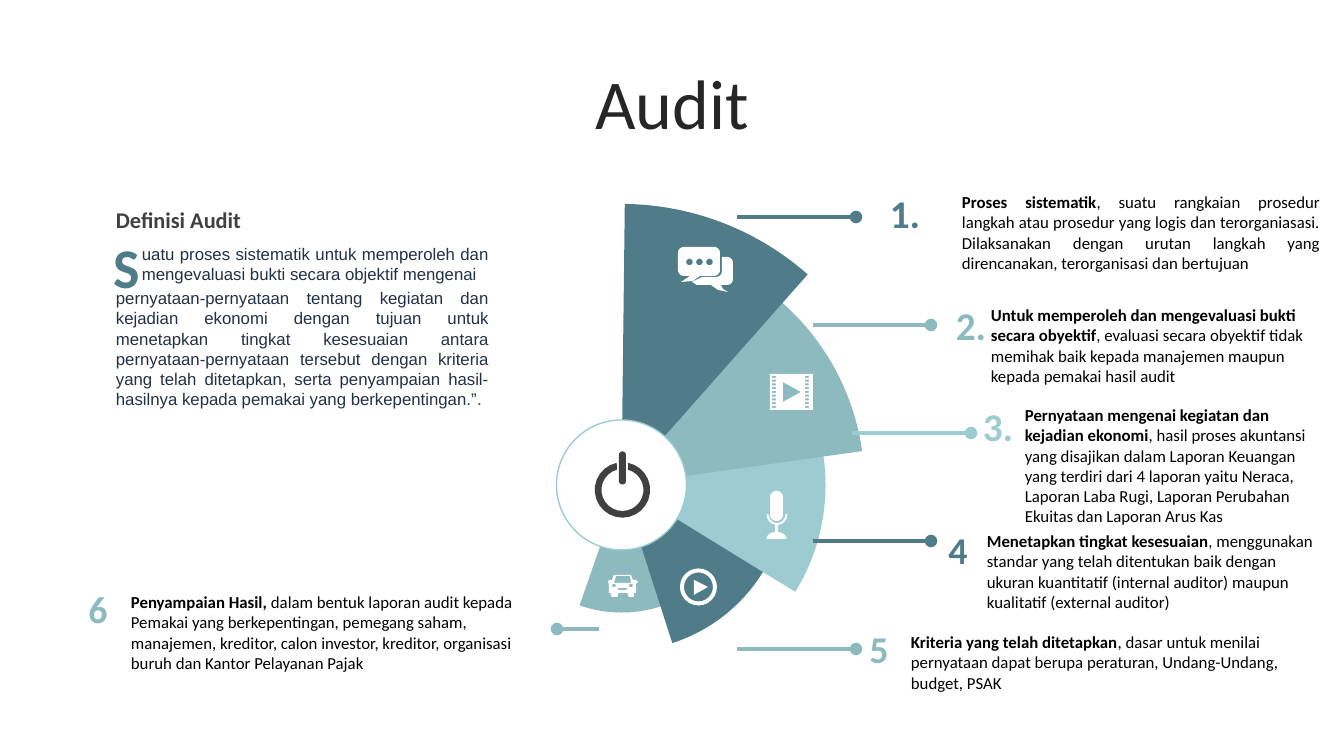
"""Build the Audit slide: a fan of five sectors with six numbered points."""
from math import cos, radians, sin

from lxml import etree
from pptx import Presentation
from pptx.dml.color import RGBColor
from pptx.enum.shapes import MSO_CONNECTOR, MSO_SHAPE
from pptx.enum.text import MSO_ANCHOR, PP_ALIGN
from pptx.oxml.ns import qn
from pptx.util import Pt

PX = 914400 / 100.8
LEFT, MID, FULL = PP_ALIGN.LEFT, PP_ALIGN.CENTER, PP_ALIGN.JUSTIFY
TOP, CORE = MSO_ANCHOR.TOP, MSO_ANCHOR.MIDDLE
PIE, OVAL = MSO_SHAPE.PIE, MSO_SHAPE.OVAL
LINE = MSO_CONNECTOR.STRAIGHT
DARK = RGBColor(0x50, 0x7C, 0x89)
TEAL = RGBColor(0x8C, 0xBA, 0xBE)
PALE = RGBColor(0x9C, 0xCC, 0xD2)
WHITE = RGBColor(0xFF, 0xFF, 0xFF)
BLACK = RGBColor(0x00, 0x00, 0x00)
GREY = RGBColor(0x40, 0x40, 0x40)
COAL = RGBColor(0x26, 0x26, 0x26)
NAVY = RGBColor(0x23, 0x31, 0x44)

deck = Presentation()
deck.slide_width, deck.slide_height = round(1344 * PX), round(756 * PX)
slide = deck.slides.add_slide(deck.slide_layouts[6])
shapes = slide.shapes


def arc(x, y, wide, high, start, end):
    """Return points along an elliptic arc, with angles in degrees."""
    turns = [radians(start + (end - start) * i / 24) for i in range(25)]
    return [(x + wide * cos(t), y + high * sin(t)) for t in turns]


def text(box, runs, align=LEFT, anchor=TOP):
    """Add a text box of one paragraph and return the paragraph."""
    frame = shapes.add_textbox(*[round(v * PX) for v in box]).text_frame
    frame.word_wrap = True
    frame.vertical_anchor = anchor
    para = frame.paragraphs[0]
    para.alignment = align
    for words, size, face, color, bold in runs:
        run = para.add_run()
        run.text = words
        run.font.size = Pt(size)
        run.font.name = face
        run.font.color.rgb = color
        run.font.bold = bold
    return para


fan = [
    (PIE, 255, 199.2, TEAL),
    (PIE, 332, 162.2, DARK),
    (PIE, 408, 121.6, PALE),
    (PIE, 486, 82, TEAL),
    (PIE, 562, 41.5, DARK),
    (OVAL, 130, 0, WHITE),
]
for kind, size, turn, color in fan:
    part = shapes.add_shape(kind, round((621.5 - size / 2) * PX), round((485 - size / 2) * PX),
                            round(size * PX), round(size * PX))
    part.shadow.inherit = False
    part.rotation = turn
    part.fill.solid()
    part.fill.fore_color.rgb = color
    if kind == PIE:
        part.adjustments[0], part.adjustments[1] = 137.51, 162
        part.line.fill.background()
    else:
        part.line.color.rgb = PALE
        part.line.width = Pt(1)

links = [
    (737, 856, 217, DARK),
    (813, 931, 325, TEAL),
    (852, 971, 433, PALE),
    (813, 931, 541, DARK),
    (737, 856, 649, TEAL),
    (599, 557, 629, TEAL),
]
for start, end, y, color in links:
    link = shapes.add_connector(LINE, *[round(v * PX) for v in (start, y, end, y)])
    link.line.color.rgb = color
    link.line.width = Pt(3)
    etree.SubElement(link.line._get_or_add_ln(), qn("a:tailEnd"), type="oval")
    etree.SubElement(link._element.spPr, qn("a:effectLst"))

chat = [
    arc(684, 253, 6, 6, 180, 270) + arc(714, 253, 6, 6, 270, 360) + arc(714, 270, 6, 6, 0, 90)
    + [(700, 276), (693, 281), (681, 282), (690, 276)] + arc(684, 270, 6, 6, 90, 180),
    [(722, 257)] + arc(727, 263, 6, 6, 270, 360) + arc(727, 279, 6, 6, 0, 90)
    + [(721, 285), (723, 289), (728, 292), (718, 290), (711, 285), (697, 285), (692, 282), (702, 277)]
    + arc(716, 271, 6, 6, 90, 0),
]
chat += [arc(x, 262, 3.3, 3.3, 0, 360) for x in (689.5, 699.5, 709.5)]

car = [
    [(614, 575), (631, 575), (633, 580), (636, 580), (638, 582), (636, 584), (636, 593), (634, 593),
     (634, 596), (633, 597), (629, 597), (628, 596), (628, 593), (618, 593), (618, 596), (617, 597),
     (612, 597), (611, 596), (611, 593), (609, 593), (609, 584), (608, 582), (609, 580), (612, 580)],
    [(616, 576), (614, 583), (631, 583), (630, 576)],
    [(618, 588), (627, 588), (627, 590), (618, 590)],
]
car += [arc(x, 585.5, 2, 1.7, 0, 360) for x in (614, 631)]

play = [arc(698.5, 587, r, r, 0, 360) for r in (18.5, 14.5)]
play += [[(694, 580), (708, 587), (694, 595)]]

film = [
    [(770, 374), (813, 374), (813, 410), (770, 410)],
    [(783, 382), (801, 392), (783, 402)],
]
for row in range(9):
    y = 376 + 3.75 * row
    film += [[(x, y), (x + 4, y), (x + 4, y + 2), (x, y + 2)] for x in (772, 805)]

mic = [
    arc(776.5, 497.5, 6.5, 6.5, 180, 360) + arc(776.5, 514.5, 6.5, 6.5, 0, 180),
    arc(777, 514, 10.5, 11, 0, 84) + [(778, 532)] + arc(776.5, 539, 10, 7, 280, 360)
    + arc(776.5, 539, 10, 7, 180, 260) + [(775, 532)] + arc(777, 514, 10.5, 11, 100, 180)
    + arc(777, 514, 8.5, 9, 180, 0),
]

power = [
    arc(622.5, 490, 27.7, 27.7, -78, 258) + arc(622.5, 490, 21, 21, 255, -75),
    arc(622.5, 455, 3.5, 3.5, 180, 360) + arc(622.5, 481, 3.5, 3.5, 0, 180),
]

icons = [(chat, WHITE), (car, WHITE), (play, WHITE), (film, WHITE), (mic, WHITE), (power, GREY)]
for rings, color in icons:
    pen = shapes.build_freeform(rings[0][0][0] * PX, rings[0][0][1] * PX, scale=1.0)
    for ring in rings:
        spots = [(x * PX, y * PX) for x, y in ring]
        pen.move_to(*spots[0])
        pen.add_line_segments(spots[1:], close=True)
    icon = pen.convert_to_shape()
    icon.shadow.inherit = False
    icon.fill.solid()
    icon.fill.fore_color.rgb = color
    icon.line.fill.background()

title = text((34, 69, 1276, 80), [("Audit", 50, "Calibri", COAL, False)], MID, CORE)
title.line_spacing = 0.8
text((106, 201, 212, 37), [("Definisi Audit", 16, "Calibri", GREY, True)])
text((57, 227, 140, 78), [("S", 40, "Calibri", DARK, True)], MID, CORE)
text((132, 239, 367, 50), [
    ("uatu proses sistematik untuk memperoleh dan mengevaluasi bukti secara objektif mengenai",
     12, "Arial", NAVY, False)], FULL)
text((106, 283, 393, 132), [
    ("pernyataan-pernyataan tentang kegiatan dan kejadian ekonomi dengan tujuan untuk menetapkan "
     "tingkat kesesuaian antara pernyataan-pernyataan tersebut dengan kriteria yang telah ditetapkan, "
     "serta penyampaian hasil-hasilnya kepada pemakai yang berkepentingan.”", 12, "Arial", NAVY, False),
    (".", 12, "Calibri", GREY, False)], FULL)

points = [
    ("1.", 905, 184, 28, DARK, (952, 187, 378, 51), FULL, "Proses sistematik",
     ", suatu rangkaian prosedur langkah atau prosedur yang logis dan terorganiasasi. "
     "Dilaksanakan dengan urutan langkah yang direncanakan, terorganisasi dan bertujuan"),
    ("2.", 971, 296, 28, TEAL, (981, 300, 350, 51), LEFT,
     "Untuk memperoleh dan mengevaluasi bukti secara obyektif",
     ", evaluasi secara obyektif tidak memihak baik kepada manajemen maupun kepada pemakai hasil audit"),
    ("3.", 998, 397, 28, PALE, (1015, 400, 317, 51), LEFT,
     "Pernyataan mengenai kegiatan dan kejadian ekonomi",
     ", hasil proses akuntansi yang disajikan dalam Laporan Keuangan yang terdiri dari 4 laporan yaitu "
     "Neraca, Laporan Laba Rugi, Laporan Perubahan Ekuitas dan Laporan Arus Kas"),
    ("4", 958, 521, 27, DARK, (977, 526, 354, 51), LEFT, "Menetapkan tingkat kesesuaian",
     ", menggunakan standar yang telah ditentukan baik dengan ukuran kuantitatif (internal auditor) "
     "maupun kualitatif (external auditor)"),
    ("5", 879, 620, 27, TEAL, (901, 627, 393, 51), LEFT, "Kriteria yang telah ditetapkan",
     ", dasar untuk menilai pernyataan dapat berupa peraturan, Undang-Undang, budget, PSAK"),
    ("6", 98, 580, 27, TEAL, (121, 587, 413, 51), LEFT, "Penyampaian Hasil, ",
     "dalam bentuk laporan audit kepada Pemakai yang berkepentingan, pemegang saham, manajemen, "
     "kreditor, calon investor, kreditor, organisasi buruh dan Kantor Pelayanan Pajak"),
]
for mark, x, y, size, color, box, align, head, rest in points:
    text((x - 40, y, 80, 57), [(mark, size, "Calibri", color, True)], MID, CORE)
    text(box, [(head, 12, "Calibri", BLACK, True), (rest, 12, "Calibri", BLACK, False)], align)

deck.save("out.pptx")
